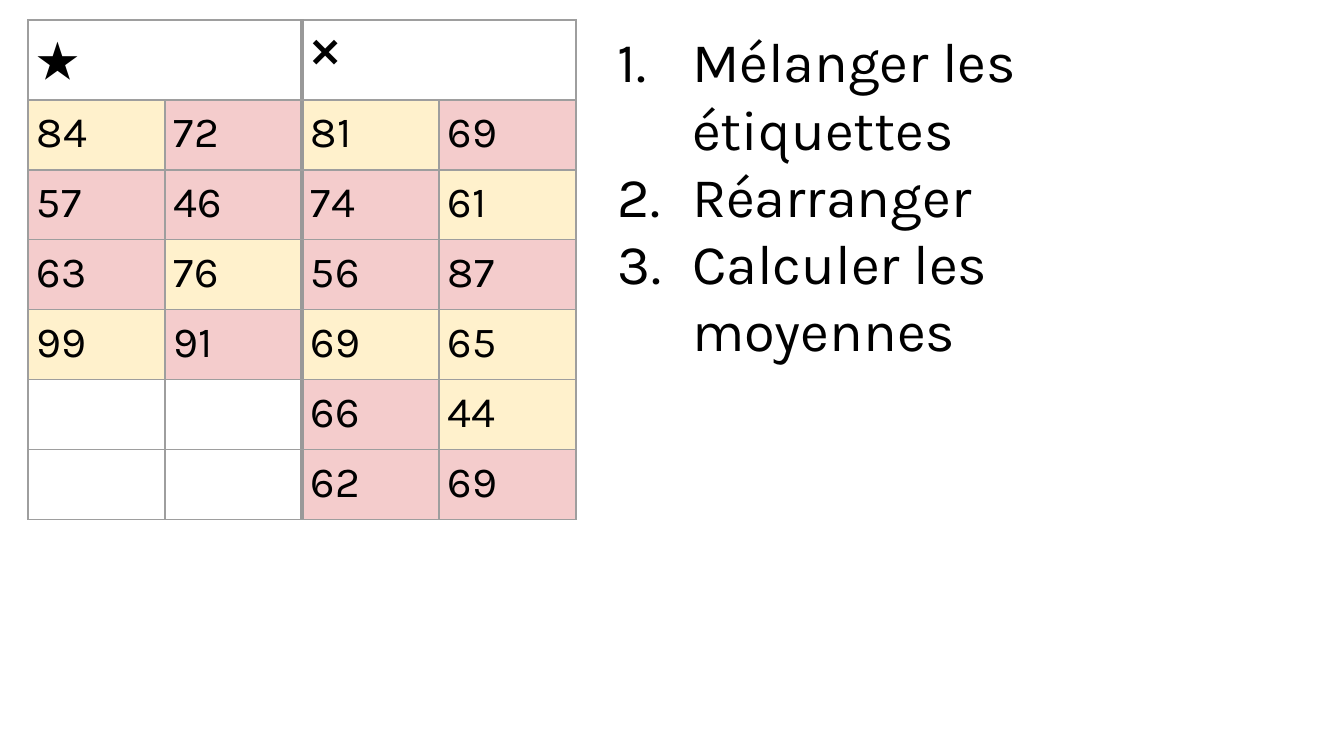
import pptx
import pptx.dml.color
import pptx.oxml
import pptx.oxml.ns
import pptx.util

PX = 914400 / 134.4  # EMU per px
FONT = "Karla"
FILLS = {"y": "FFF1CC", "r": "F4CCCC"}
# Each value is followed by the letter of its fill; None is an empty cell
ROWS = [
    ["84y", "72r", "81y", "69r"],
    ["57r", "46r", "74r", "61y"],
    ["63r", "76y", "56r", "87r"],
    ["99y", "91r", "69y", "65y"],
    [None, None, "66r", "44y"],
    [None, None, "62r", "69r"],
]
STEPS = ["Mélanger les étiquettes", "Réarranger", "Calculer les moyennes"]


def px(n):
    return pptx.util.Emu(round(n * PX))


def rgb(value):
    return pptx.dml.color.RGBColor.from_string(value)


def style_font(font, size, name=FONT):
    font.size = pptx.util.Pt(size)
    font.name = name
    font.color.rgb = rgb("000000")


def set_border(cell, side, color, points):
    ns = pptx.oxml.ns.nsdecls("a")
    cell._tc.get_or_add_tcPr().append(pptx.oxml.parse_xml(
        f'<a:ln{side} {ns} w="{pptx.util.Pt(points)}"><a:solidFill>'
        f'<a:srgbClr val="{color}"/></a:solidFill></a:ln{side}>'))


def style_cell(cell, col, fill=None):
    # A thick rule separates the two groups
    for side in "LRTB":
        thick = (col, side) in ((1, "R"), (2, "L"))
        set_border(cell, side, *(("999999", 3) if thick else ("9E9E9E", 0.75)))
    if fill:
        cell.fill.solid()
        cell.fill.fore_color.rgb = rgb(fill)
    else:
        cell.fill.background()
    cell.margin_left = cell.margin_right = cell.margin_bottom = 0
    cell.margin_top = px(8)


def write_cell(cell, text, font=FONT):
    p = cell.text_frame.paragraphs[0]
    p.text = text
    p._p.get_or_add_pPr().set("marL", str(px(9)))
    style_font(p.runs[0].font, 23, font)
    if font != FONT:
        r_pr = p.runs[0]._r.get_or_add_rPr()
        ea = pptx.oxml.parse_xml(
            f'<a:ea {pptx.oxml.ns.nsdecls("a")} typeface="{font}"/>')
        r_pr.append(ea)


def add_groups(s, x, y, w, h):
    head_h = 80
    row_h = (h - head_h) // len(ROWS)
    table = s.shapes.add_table(len(ROWS) + 1, 4, px(x), px(y), px(w), px(h)).table
    table.first_row = table.horz_banding = False
    for column in table.columns:
        column.width = px(w // 4)
    for i, row in enumerate(table.rows):
        row.height = px(row_h if i else head_h)

    # Group headings, each over two columns
    for col in range(4):
        style_cell(table.cell(0, col), col)
    for col, mark, font in ((0, "★", "Noto Sans CJK JP"), (2, "❌", FONT)):
        cell = table.cell(0, col)
        cell.merge(table.cell(0, col + 1))
        write_cell(cell, mark, font)

    # Labels
    for i, values in enumerate(ROWS, 1):
        for col, value in enumerate(values):
            cell = table.cell(i, col)
            style_cell(cell, col, FILLS[value[-1]] if value else None)
            if value:
                write_cell(cell, value[:-1])


def add_steps(s, x, y, w, h):
    tf = s.shapes.add_textbox(px(x), px(y), px(w), px(h)).text_frame
    tf.word_wrap = True
    tf.margin_left = tf.margin_right = tf.margin_bottom = 0
    tf.margin_top = px(1)
    ns = pptx.oxml.ns.nsdecls("a")
    for i, step in enumerate(STEPS):
        p = tf.add_paragraph() if i else tf.paragraphs[0]
        p.text = step
        p_pr = p._p.get_or_add_pPr()
        p_pr.set("marL", str(px(75)))
        p_pr.set("indent", str(px(-74)))
        p_pr.append(pptx.oxml.parse_xml(
            f'<a:buClr {ns}><a:srgbClr val="000000"/></a:buClr>'))
        p_pr.append(pptx.oxml.parse_xml(
            f'<a:buAutoNum {ns} type="arabicPeriod"/>'))
        style_font(p.runs[0].font, 30)


def main():
    prs = pptx.Presentation()
    prs.slide_width, prs.slide_height = px(1344), px(756)
    s = prs.slides.add_slide(prs.slide_layouts[6])
    add_groups(s, 28, 20, 548, 503)
    add_steps(s, 617, 26, 509, 206)
    prs.save("out.pptx")


if __name__ == "__main__":
    main()
